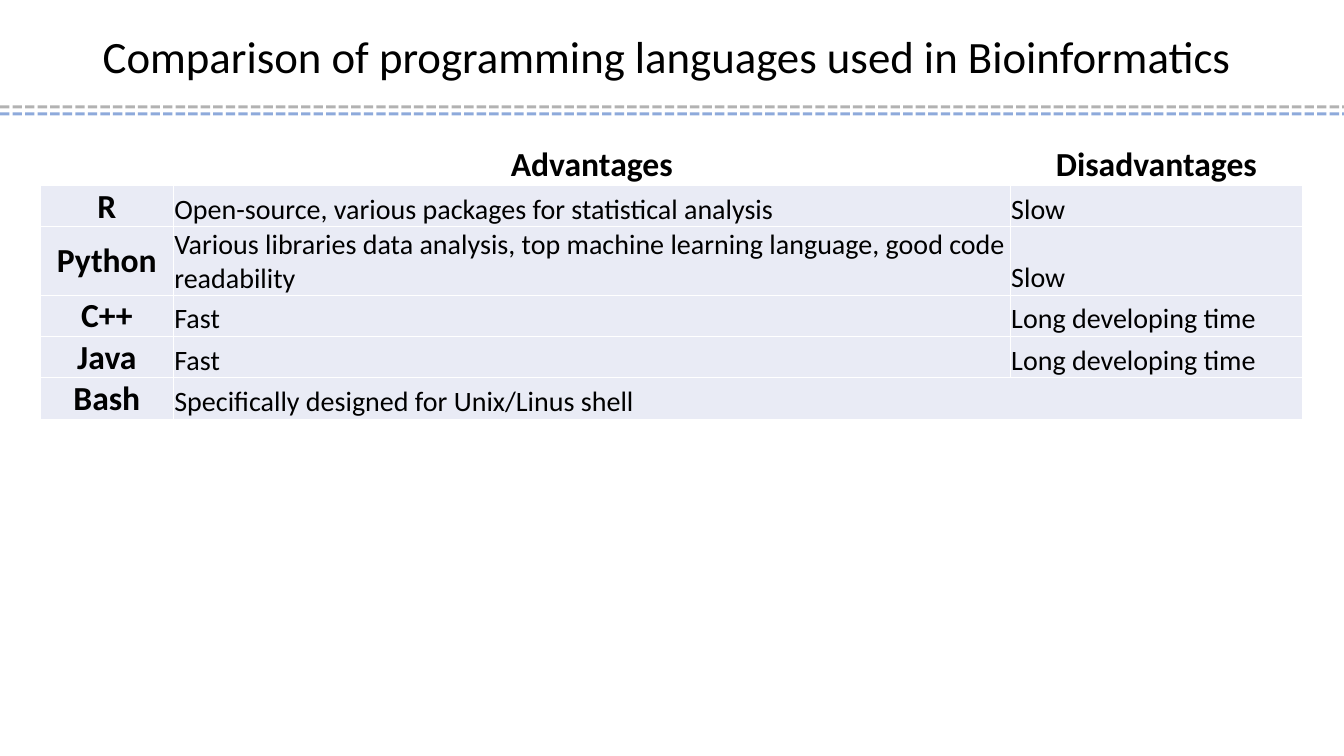
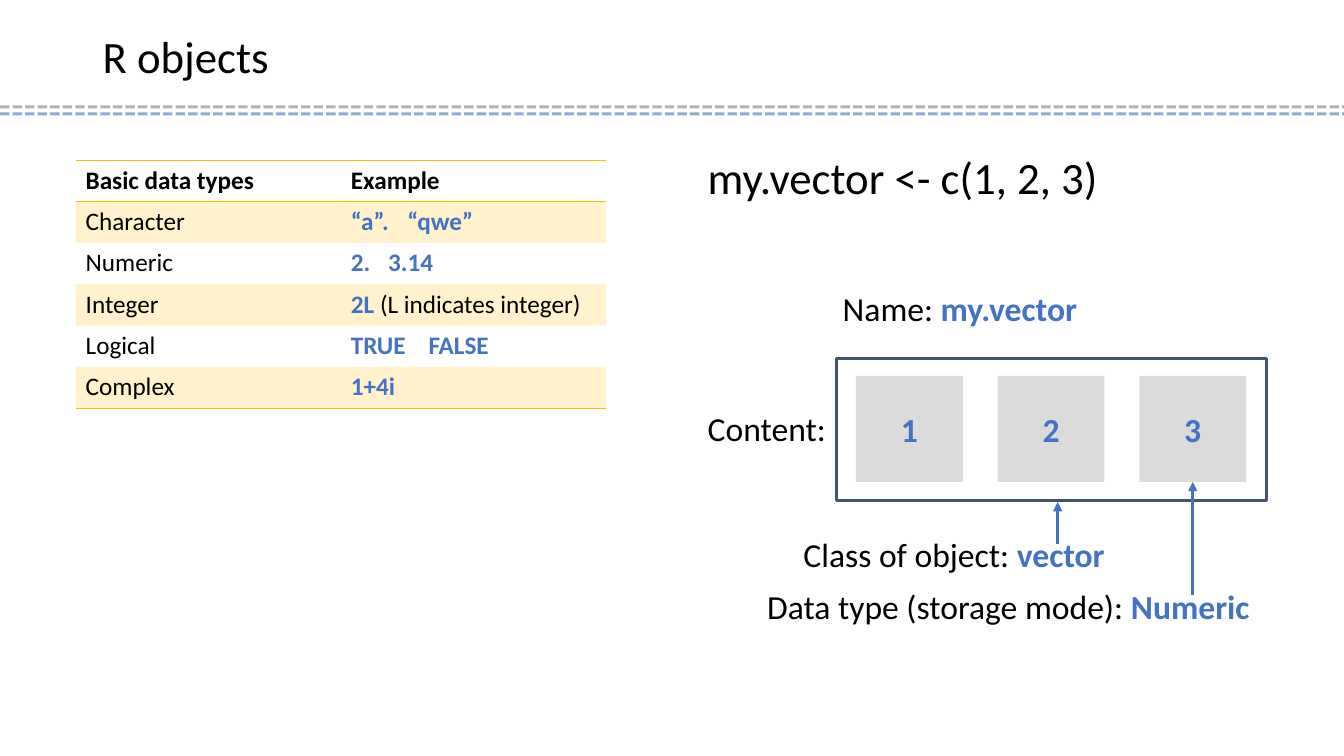
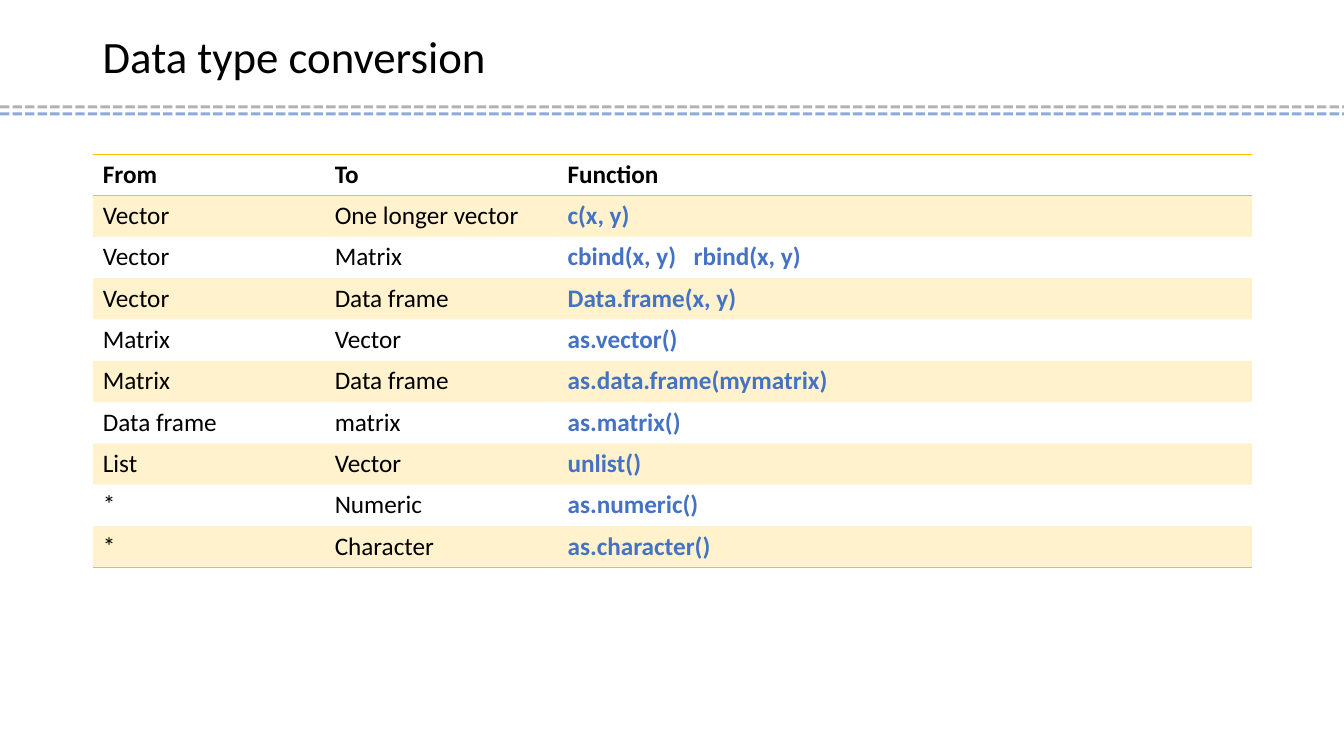
from dataclasses import dataclass

from lxml import etree
from pptx import Presentation
from pptx.dml.color import RGBColor
from pptx.enum.dml import MSO_LINE
from pptx.enum.shapes import MSO_CONNECTOR, MSO_SHAPE
from pptx.enum.text import MSO_ANCHOR, MSO_AUTO_SIZE, PP_ALIGN
from pptx.oxml.ns import qn
from pptx.util import Inches, Pt

LEFT, CENTER = PP_ALIGN.LEFT, PP_ALIGN.CENTER
MIDDLE, BOTTOM = MSO_ANCHOR.MIDDLE, MSO_ANCHOR.BOTTOM
RECT, STRAIGHT = MSO_SHAPE.RECTANGLE, MSO_CONNECTOR.STRAIGHT
NO_STYLE = "{2D5ABB26-0587-4C30-8999-92F81FD0307C}"


@dataclass(frozen=True)
class Theme:
    font: str = "Calibri"
    black: str = "000000"
    white: str = "FFFFFF"
    blue: str = "4472C4"
    gray: str = "808080"
    slate: str = "44546A"
    light: str = "DBDBDB"
    pale: str = "E9EBF5"
    gold: str = "FFC000"
    title: int = 32
    label: int = 24
    body: int = 20
    cell: int = 18
    rule: float = 2.25


T = Theme()


def write(tf, runs, size, align=LEFT):
    p = tf.paragraphs[0]
    p.alignment = align
    for text, color, bold in runs:
        r = p.add_run()
        r.text = text
        r.font.name = T.font
        r.font.size = Pt(size)
        r.font.bold = bold
        r.font.color.rgb = RGBColor.from_string(color)
    return p


def style_cell(cell, borders, fill=None, opacity=100):
    tcPr = cell._tc.get_or_add_tcPr()
    for side, color in borders:
        ln = etree.SubElement(tcPr, qn(f"a:ln{side}"), w=str(Pt(1)))
        solid = etree.SubElement(ln, qn("a:solidFill"))
        etree.SubElement(solid, qn("a:srgbClr"), val=color)
    if fill is None:
        cell.fill.background()
    else:
        cell.fill.solid()
        cell.fill.fore_color.rgb = RGBColor.from_string(fill)
        clr = tcPr.find(qn("a:solidFill")).find(qn("a:srgbClr"))
        if opacity < 100:
            etree.SubElement(clr, qn("a:alpha"), val=str(opacity * 1000))


prs = Presentation()
prs.slide_width, prs.slide_height = Inches(13.33), Inches(7.5)

slides = []
for title in ["Comparison of programming languages used in Bioinformatics",
              "R objects", "Data type conversion"]:
    s = prs.slides.add_slide(prs.slide_layouts[6])
    slides.append(s)
    tf = s.shapes.add_textbox(Inches(0.92), Inches(0.18), Inches(11.5), Inches(0.81)).text_frame
    tf.word_wrap = True
    tf.vertical_anchor = MIDDLE
    write(tf, [(title, T.black, False)], T.title).line_spacing = 0.9
languages, objects, conversion = slides

language_rows = [
    ("", "Advantages", "Disadvantages"),
    ("R", "Open-source, various packages for statistical analysis", "Slow"),
    ("Python", "Various libraries data analysis, top machine learning language, "
               "good code readability", "Slow"),
    ("C++", "Fast", "Long developing time"),
    ("Java", "Fast", "Long developing time"),
    ("Bash", "Specifically designed for Unix/Linus shell", ""),
]
type_rows = [
    ("Basic data types", "Example"),
    ("Character", "“a”.\t“qwe”"),
    ("Numeric", "2.\t3.14"),
    ("Integer", "2L (L indicates integer)"),
    ("Logical", "TRUE\tFALSE"),
    ("Complex", "1+4i"),
]
conversion_rows = [
    ("From", "To", "Function"),
    ("Vector", "One longer vector", "c(x, y)"),
    ("Vector", "Matrix", "cbind(x, y)\trbind(x, y)"),
    ("Vector", "Data frame", "Data.frame(x, y)"),
    ("Matrix", "Vector", "as.vector()"),
    ("Matrix", "Data frame", "as.data.frame(mymatrix)"),
    ("Data frame", "matrix", "as.matrix()"),
    ("List", "Vector", "unlist()"),
    ("*", "Numeric", "as.numeric()"),
    ("*", "Character", "as.character()"),
]
tab_stops = {"“a”.\t“qwe”": 0.56, "2.\t3.14": 0.37, "TRUE\tFALSE": 0.77,
             "cbind(x, y)\trbind(x, y)": 1.25}

tables = []
for s, x, y, widths, rows in [
    (languages, 0.4, 1.43, [1.32, 8.3, 2.9], language_rows),
    (objects, 0.75, 1.59, [2.63, 2.63], type_rows),
    (conversion, 0.92, 1.53, [2.3, 2.31, 6.89], conversion_rows),
]:
    row_h = Inches(0.41)
    table = s.shapes.add_table(len(rows), len(widths), Inches(x), Inches(y),
                               Inches(sum(widths)), row_h * len(rows)).table
    table._tbl.tblPr.find(qn("a:tableStyleId")).text = NO_STYLE
    table.first_row = table.horz_banding = False
    for col, w in zip(table.columns, widths):
        col.width = Inches(w)
    for row in table.rows:
        row.height = row_h
    tables.append(table)
language_table, type_table, conversion_table = tables

for i, row in enumerate(language_rows):
    for j, text in enumerate(row):
        cell = language_table.cell(i, j)
        cell.margin_left = cell.margin_right = cell.margin_top = Inches(0.01)
        cell.margin_bottom = 0
        cell.vertical_anchor = MIDDLE if j == 0 else BOTTOM
        head = i == 0 or j == 0
        if text:
            write(cell.text_frame, [(text, T.black, head)],
                  T.label if head else T.body, CENTER if head else LEFT)
        style_cell(cell, [(side, T.white) for side in "LRTB"], T.pale if i else None)
language_table.cell(5, 1).merge(language_table.cell(5, 2))

for table, rows in [(type_table, type_rows), (conversion_table, conversion_rows)]:
    last = len(rows) - 1
    for i, row in enumerate(rows):
        sides = {0: "TB", last: "B"}.get(i, "")
        for j, text in enumerate(row):
            cell = table.cell(i, j)
            code = i > 0 and j == len(row) - 1
            start, note, end = text.partition("(L indicates")
            runs = [(start, T.blue if code else T.black, code or i == 0)]
            if note:
                runs.append((note + end, T.black, False))
            p = write(cell.text_frame, runs, T.cell)
            if text in tab_stops:
                tabs = etree.SubElement(p._p.get_or_add_pPr(), qn("a:tabLst"))
                etree.SubElement(tabs, qn("a:tab"), pos=str(Inches(tab_stops[text])), algn="l")
            style_cell(cell, [(side, T.gold) for side in sides], T.gold if i % 2 else None, 20)

for i in range(3):
    box = objects.shapes.add_shape(RECT, Inches(8.49 + i * 1.405), Inches(3.73),
                                   Inches(1.06), Inches(1.05))
    box.shadow.inherit = False
    box.fill.solid()
    box.fill.fore_color.rgb = RGBColor.from_string(T.light)
    box.line.fill.background()
    box.text_frame.vertical_anchor = MIDDLE
    write(box.text_frame, [(str(i + 1), T.blue, True)], T.label, CENTER)

frame = objects.shapes.add_shape(RECT, Inches(8.3), Inches(3.56), Inches(4.26), Inches(1.41))
frame.shadow.inherit = False
frame.fill.background()
frame.line.color.rgb = RGBColor.from_string(T.slate)
frame.line.width = Pt(T.rule)

for x, y, w, h, size, text, value in [
    (6.92, 1.44, 4.11, 0.64, T.title, "my.vector <- c(1, 2, 3)", ""),
    (8.26, 2.81, 2.55, 0.5, T.label, "Name: ", "my.vector"),
    (6.92, 4, 1.38, 0.5, T.label, "Content:", ""),
    (7.87, 5.25, 3.2, 0.5, T.label, "Class of object: ", "vector"),
    (7.51, 5.76, 5.01, 0.5, T.label, "Data type (storage mode): ", "Numeric"),
]:
    tf = objects.shapes.add_textbox(Inches(x), Inches(y), Inches(w), Inches(h)).text_frame
    tf.word_wrap = False
    tf.auto_size = MSO_AUTO_SIZE.SHAPE_TO_FIT_TEXT
    runs = [(text, T.black, False)]
    if value:
        runs.append((value, T.blue, True))
    write(tf, runs, size)

lines = [(s, 0, y, 13.33, y, color, False)
         for s in slides for y, color in [(1.06, T.gray), (1.13, T.blue)]]
lines += [(objects, 10.49, 5.4, 10.49, 4.98, T.blue, True),
          (objects, 11.83, 5.9, 11.83, 4.78, T.blue, True)]
for s, x1, y1, x2, y2, color, arrow in lines:
    c = s.shapes.add_connector(STRAIGHT, Inches(x1), Inches(y1), Inches(x2), Inches(y2))
    c.line.color.rgb = RGBColor.from_string(color)
    c.line.width = Pt(T.rule)
    spPr = c._element.spPr
    ln = spPr.find(qn("a:ln"))
    if arrow:
        etree.SubElement(ln, qn("a:tailEnd"), type="triangle")
    else:
        c.line.dash_style = MSO_LINE.SQUARE_DOT
        clr = ln.find(qn("a:solidFill")).find(qn("a:srgbClr"))
        etree.SubElement(clr, qn("a:alpha"), val="60000")
    etree.SubElement(spPr, qn("a:effectLst"))

prs.save("out.pptx")
